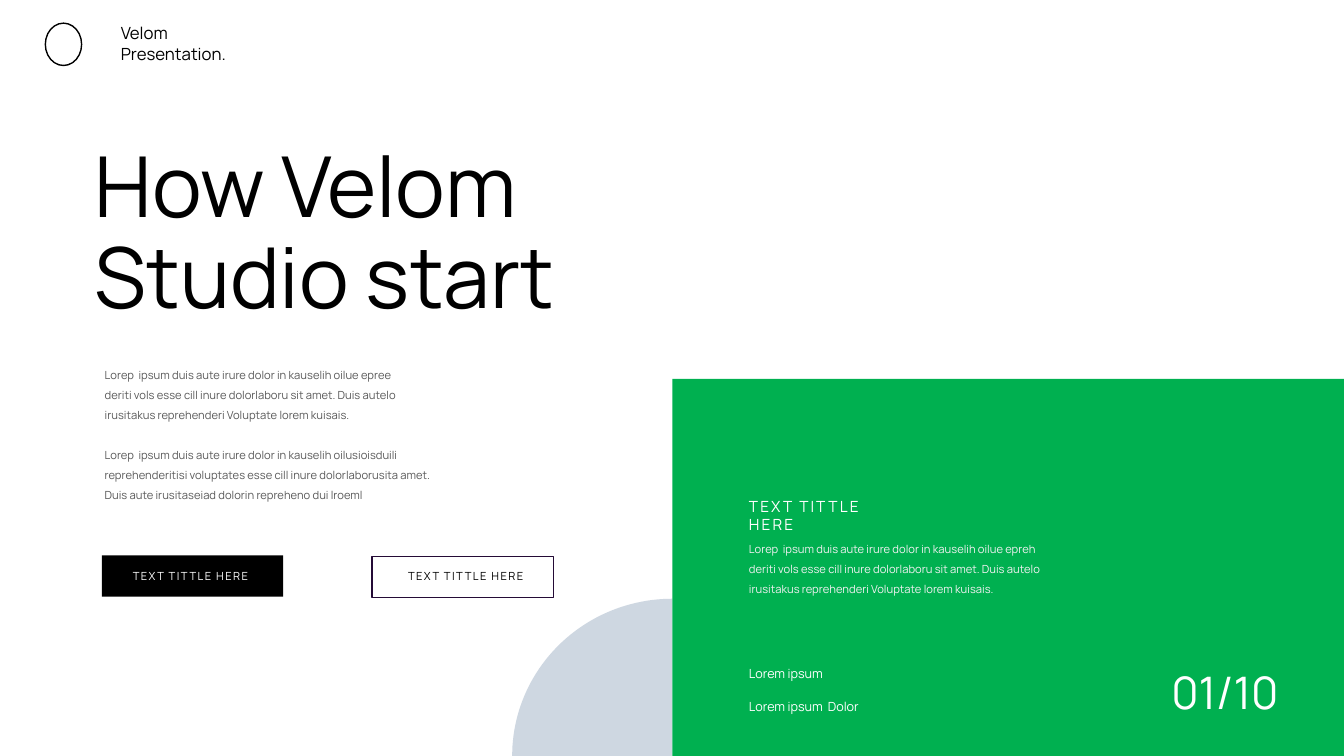
from dataclasses import dataclass
from math import cos, pi, sin

from pptx import Presentation
from pptx.dml.color import RGBColor
from pptx.enum.shapes import MSO_SHAPE
from pptx.enum.text import MSO_ANCHOR, MSO_AUTO_SIZE, PP_ALIGN
from pptx.shapes.autoshape import Shape
from pptx.slide import Slide
from pptx.util import Inches, Pt


@dataclass(frozen=True)
class Theme:
    font: str = "Manrope"
    black: str = "000000"
    white: str = "FFFFFF"
    grey: str = "595959"
    pale: str = "F2F2F2"
    green: str = "00B050"
    mist: str = "CED7E1"
    outline: str = "240B36"
    title: int = 60
    number: int = 32
    header: int = 12
    heading: int = 11
    label: int = 9
    body: int = 8


THEME = Theme()


@dataclass(frozen=True)
class TextBlock:
    box: tuple[float, float, float, float]
    lines: tuple[str, ...]
    size: int
    color: str
    line_spacing: float = 1.0
    tracking: float = 0
    align: PP_ALIGN = PP_ALIGN.LEFT
    wrap: bool = True


@dataclass(frozen=True)
class Block:
    kind: MSO_SHAPE
    box: tuple[float, float, float, float]
    fill: str | None = None
    line: str | None = None


STUDIO_NAME = "Velom"
BODY_END = ("deriti vols esse cill inure dolorlaboru sit amet. Duis autelo "
            "irusitakus reprehenderi Voluptate lorem kuisais.")

TITLE = TextBlock((0.84, 1.39, 5.15, 1.93), (f"How {STUDIO_NAME}", "Studio start"),
                  THEME.title, THEME.black, line_spacing=0.9, wrap=False)

BLOCKS = (
    # Green panel, logo mark, two buttons
    Block(MSO_SHAPE.RECTANGLE, (6.67, 3.76, 6.66, 3.74), fill=THEME.green),
    Block(MSO_SHAPE.OVAL, (0.45, 0.23, 0.36, 0.42), line=THEME.black),
    Block(MSO_SHAPE.RECTANGLE, (1.01, 5.51, 1.8, 0.41), fill=THEME.black),
    Block(MSO_SHAPE.RECTANGLE, (3.69, 5.52, 1.8, 0.41), line=THEME.outline),
)

TEXTS = (
    # Header
    TextBlock((1.1, 0.18, 1.31, 0.5), (STUDIO_NAME, "Presentation."),
              THEME.header, THEME.black),
    # Left column
    TextBlock((0.94, 3.54, 3.45, 0.69),
              ("Lorep  ipsum duis aute irure dolor in kauselih oilue epree", BODY_END),
              THEME.body, THEME.grey, line_spacing=1.5),
    TextBlock((0.94, 4.33, 3.56, 0.69),
              ("Lorep  ipsum duis aute irure dolor in kauselih oilusioisduili "
               "reprehenderitisi voluptates esse cill inure dolorlaborusita amet. "
               "Duis aute irusitaseiad dolorin repreheno dui lroeml",),
              THEME.body, THEME.grey, line_spacing=1.5),
    # Button labels
    TextBlock((1.11, 5.6, 1.56, 0.24), ("TEXT TITTLE HERE",), THEME.body, THEME.white,
              tracking=1, align=PP_ALIGN.CENTER),
    TextBlock((3.92, 5.6, 1.4, 0.24), ("TEXT TITTLE HERE",), THEME.body, THEME.black,
              tracking=1, align=PP_ALIGN.CENTER),
    # Green panel
    TextBlock((7.33, 4.88, 1.78, 0.29), ("TEXT TITTLE HERE",), THEME.heading, THEME.white,
              tracking=1.5),
    TextBlock((7.33, 5.26, 3.45, 0.69),
              ("Lorep  ipsum duis aute irure dolor in kauselih oilue epreh", BODY_END),
              THEME.body, THEME.pale, line_spacing=1.5),
    TextBlock((7.33, 6.56, 1.03, 0.25), ("Lorem ipsum",), THEME.label, THEME.white),
    TextBlock((7.33, 6.88, 1.42, 0.25), ("Lorem ipsum  Dolor",), THEME.label, THEME.white),
    TextBlock((11.52, 6.55, 1.37, 0.64), ("01/10",), THEME.number, THEME.white),
)


def set_all(target: object, values: dict[str, object]) -> None:
    for name, value in values.items():
        setattr(target, name, value)


def write_text(shape: Shape, block: TextBlock) -> None:
    left, top, width, height = map(Inches, block.box)
    set_all(shape, {"left": left, "top": top, "width": width, "height": height})
    frame = shape.text_frame
    frame.text = "\n".join(block.lines)
    set_all(frame, {"word_wrap": block.wrap, "vertical_anchor": MSO_ANCHOR.TOP,
                    "auto_size": MSO_AUTO_SIZE.SHAPE_TO_FIT_TEXT})
    for paragraph in frame.paragraphs:
        set_all(paragraph, {"alignment": block.align, "line_spacing": block.line_spacing})
        for run in paragraph.runs:
            set_all(run.font, {"name": THEME.font, "size": Pt(block.size)})
            run.font.color.rgb = RGBColor.from_string(block.color)
            if block.tracking:
                run.font._element.set("spc", str(int(block.tracking * 100)))


def paint(shape: Shape, fill: str | None, line: str | None) -> None:
    shape.shadow.inherit = False
    if fill:
        shape.fill.solid()
        shape.fill.fore_color.rgb = RGBColor.from_string(fill)
    else:
        shape.fill.background()
    if line:
        shape.line.color.rgb = RGBColor.from_string(line)
        shape.line.width = Pt(1)
    else:
        shape.line.fill.background()


def add_block(slide: Slide, block: Block) -> None:
    shape = slide.shapes.add_shape(block.kind, *map(Inches, block.box))
    paint(shape, block.fill, block.line)


def add_quarter_circle(slide: Slide, corner: tuple[float, float],
                       radii: tuple[float, float], steps: int = 48) -> None:
    angles = [pi / 2 * step / steps for step in range(steps + 1)]
    arc = [(Inches(corner[0] - radii[0] * cos(angle)),
            Inches(corner[1] - radii[1] * sin(angle))) for angle in angles]
    builder = slide.shapes.build_freeform(*map(Inches, corner))
    builder.add_line_segments(arc, close=True)
    paint(builder.convert_to_shape(), THEME.mist, None)


def main() -> None:
    presentation = Presentation()
    set_all(presentation, {"slide_width": Inches(13.33), "slide_height": Inches(7.5)})
    slide = presentation.slides.add_slide(presentation.slide_layouts[5])

    # Shapes behind the text
    add_quarter_circle(slide, corner=(6.67, 7.5), radii=(1.59, 1.56))
    for block in BLOCKS:
        add_block(slide, block)

    # Title and text
    write_text(slide.shapes.title, TITLE)
    for text in TEXTS:
        write_text(slide.shapes.add_textbox(*map(Inches, text.box)), text)

    presentation.save("out.pptx")


if __name__ == "__main__":
    main()
